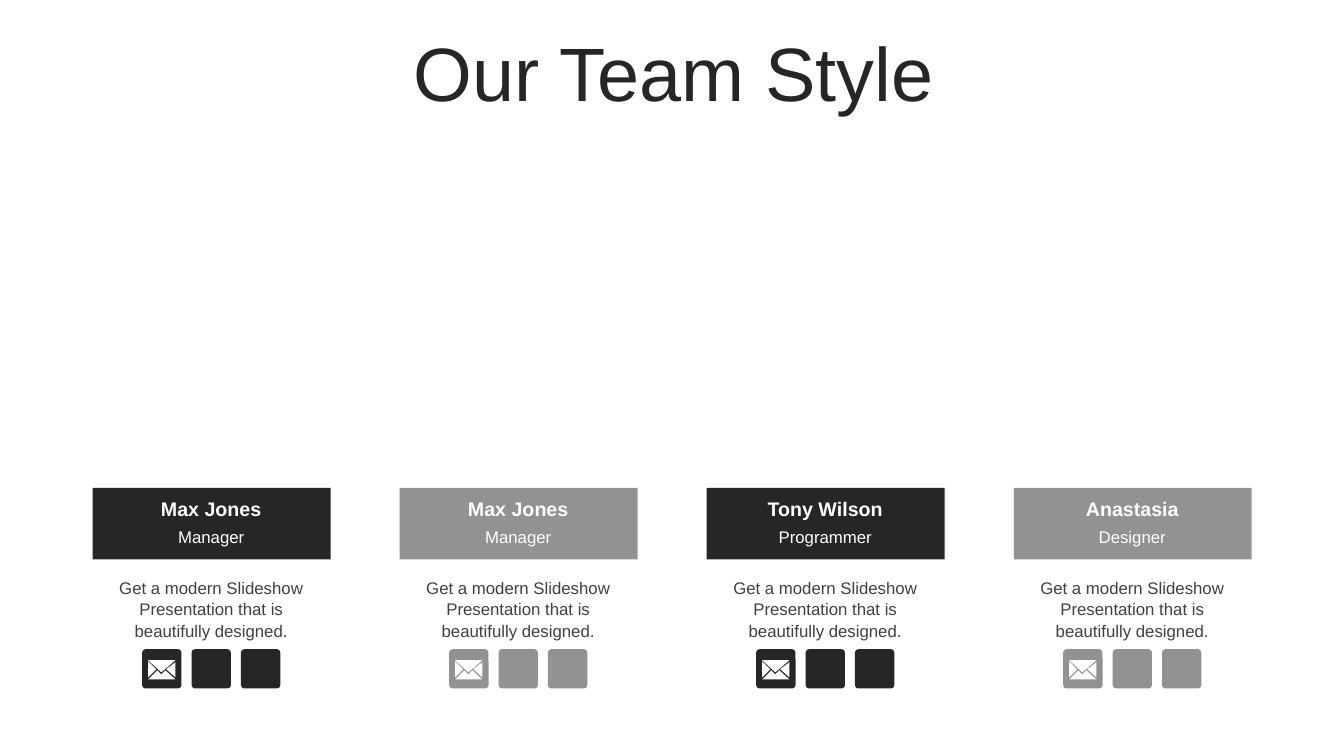
from pptx import Presentation
from pptx.dml.color import RGBColor
from pptx.enum.shapes import MSO_SHAPE
from pptx.enum.text import MSO_ANCHOR, PP_ALIGN
from pptx.util import Inches, Pt

WHITE = RGBColor(0xFF, 0xFF, 0xFF)
DARK = RGBColor(0x26, 0x26, 0x26)
GRAY = RGBColor(0x92, 0x92, 0x92)
BODY = RGBColor(0x40, 0x40, 0x40)

TEAM = [
    ("Max Jones", "Manager", DARK),
    ("Max Jones", "Manager", GRAY),
    ("Tony Wilson", "Programmer", DARK),
    ("Anastasia", "Designer", GRAY),
]
DESCRIPTION = "Get a modern Slideshow Presentation that is beautifully designed."
FIRST_LEFT = 0.92
MEMBER_PITCH = 3.045
TEXT_INSET = 0.07
TEXT_WIDTH = 2.21
ICON_TOP = 6.44
ICON_SIZE = 0.39
ICON_INSET = 0.49
ICON_PITCH = 0.49
ENVELOPE_PARTS = [
    [(0.23, 0.21), (0.19, 0.25), (0.15, 0.21), (0.06, 0.3), (0.33, 0.3)],
    [(0.33, 0.13), (0.25, 0.19), (0.24, 0.2), (0.33, 0.28)],
    [(0.06, 0.12), (0.06, 0.28), (0.14, 0.2)],
    [(0.06, 0.11), (0.19, 0.23), (0.33, 0.11)],
]


class TeamSlide:
    font_name = "Arial"

    def __init__(self, presentation):
        self.slide = presentation.slides.add_slide(presentation.slide_layouts[6])

    def paint(self, shape, color):
        shape.shadow.inherit = False
        shape.fill.solid()
        shape.fill.fore_color.rgb = color
        shape.line.fill.background()

    def block(self, kind, left, top, width, height, color):
        shape = self.slide.shapes.add_shape(
            kind, Inches(left), Inches(top), Inches(width), Inches(height))
        self.paint(shape, color)
        return shape

    def text(self, left, top, width, height, words, size, color,
             bold=False, anchor=MSO_ANCHOR.MIDDLE, line_spacing=1.0):
        box = self.slide.shapes.add_textbox(
            Inches(left), Inches(top), Inches(width), Inches(height))
        frame = box.text_frame
        frame.word_wrap = True
        frame.vertical_anchor = anchor
        paragraph = frame.paragraphs[0]
        paragraph.text = words
        paragraph.alignment = PP_ALIGN.CENTER
        paragraph.line_spacing = line_spacing
        paragraph.font.name = self.font_name
        paragraph.font.size = Pt(size)
        paragraph.font.bold = bold
        paragraph.font.color.rgb = color

    def icon_tile(self, left, color):
        tile = self.block(MSO_SHAPE.ROUNDED_RECTANGLE, left, ICON_TOP,
                          ICON_SIZE, ICON_SIZE, color)
        tile.adjustments[0] = 0.09

    def envelope(self, left):
        contours = [[(Inches(left + x), Inches(ICON_TOP + y)) for x, y in part]
                    for part in ENVELOPE_PARTS]
        builder = self.slide.shapes.build_freeform(*contours[0][0])
        builder.add_line_segments(contours[0][1:])
        for contour in contours[1:]:
            builder.move_to(*contour[0])
            builder.add_line_segments(contour[1:])
        self.paint(builder.convert_to_shape(), WHITE)

    def member(self, left, name, role, color):
        self.block(MSO_SHAPE.RECTANGLE, left, 4.84, 2.36, 0.71, color)
        text_left = left + TEXT_INSET
        self.text(text_left, 4.92, TEXT_WIDTH, 0.25, name, 14, WHITE, bold=True)
        self.text(text_left, 5.2, TEXT_WIDTH, 0.25, role, 12, WHITE)
        self.text(text_left, 5.67, TEXT_WIDTH, 0.71, DESCRIPTION, 12, BODY,
                  anchor=MSO_ANCHOR.TOP, line_spacing=1.06)
        icon_left = left + ICON_INSET
        for position in range(3):
            self.icon_tile(icon_left + position * ICON_PITCH, color)
        self.envelope(icon_left)


def main():
    presentation = Presentation()
    presentation.slide_width = Inches(13.33)
    presentation.slide_height = Inches(7.5)
    team_slide = TeamSlide(presentation)
    team_slide.text(0.35, 0.37, 12.66, 0.79, "Our Team Style", 54, DARK,
                    line_spacing=0.9)
    for index, (name, role, color) in enumerate(TEAM):
        team_slide.member(FIRST_LEFT + index * MEMBER_PITCH, name, role, color)
    presentation.save("out.pptx")


if __name__ == "__main__":
    main()
